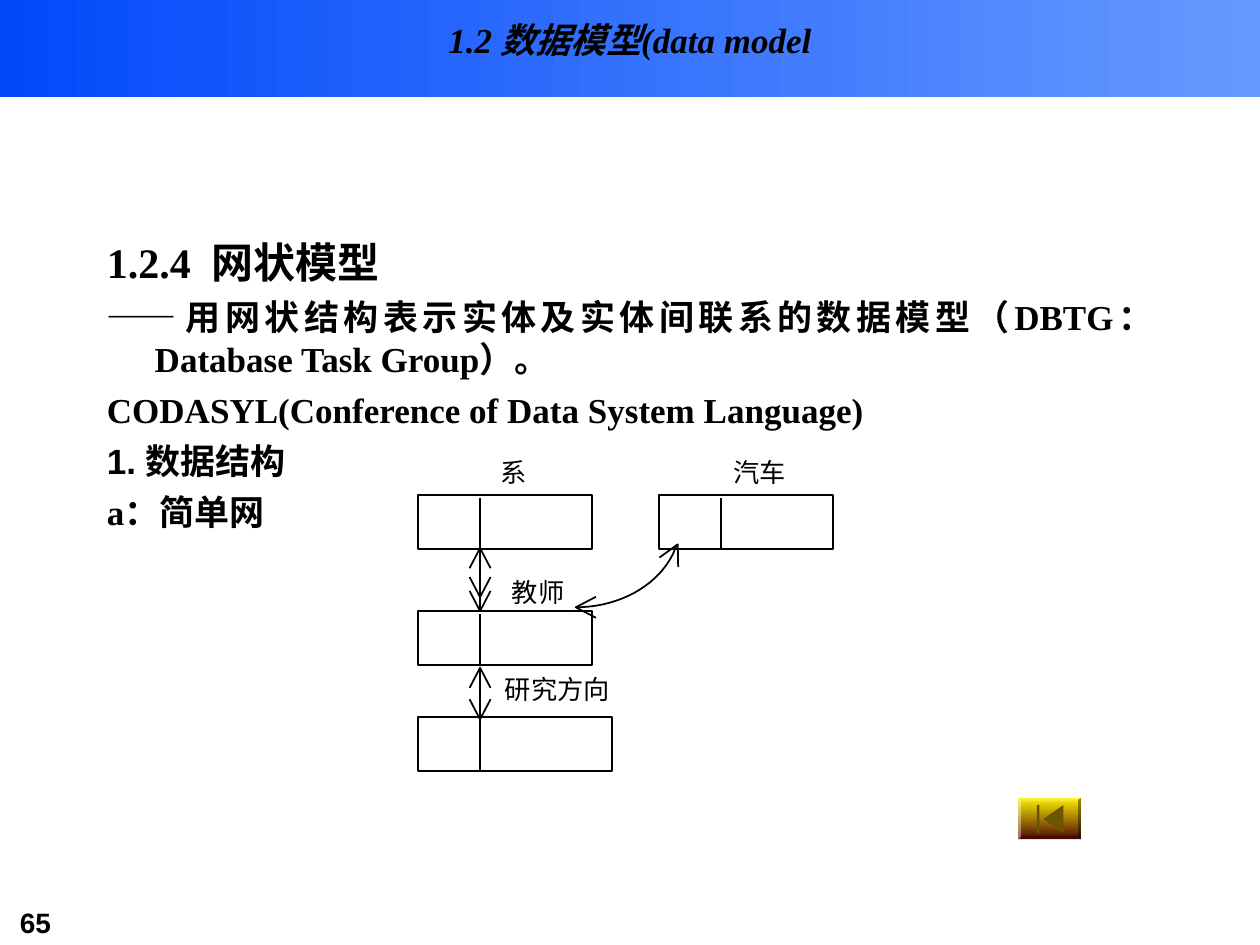
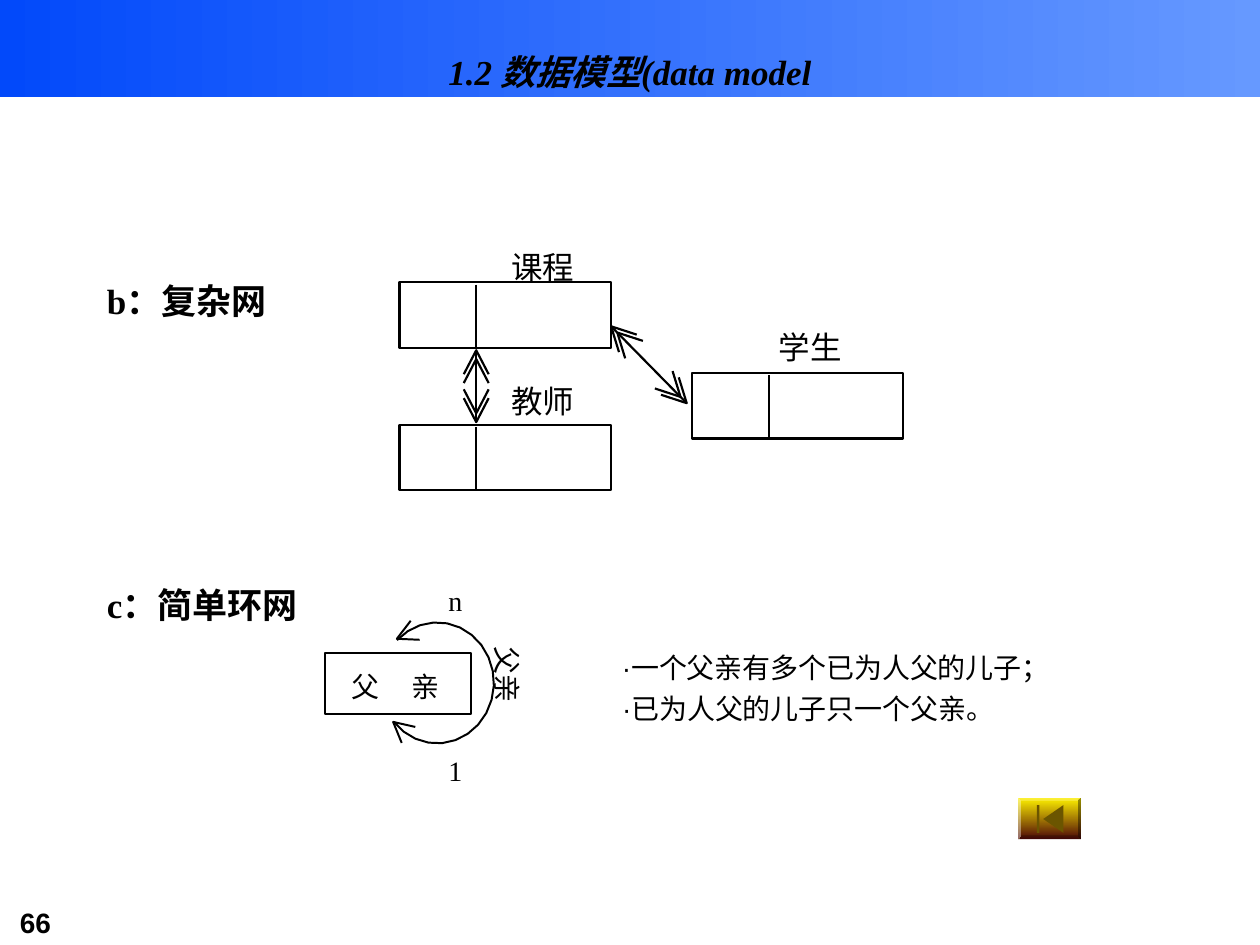
from math import cos, hypot, radians, sin

from pptx import Presentation
from pptx import util as u
from pptx.dml.color import RGBColor
from pptx.enum import shapes, text
from pptx.oxml.ns import qn
from lxml import etree

COLS, ROWS = 10, 7.5
CELL = u.Inches(1)
INK, PAPER, SHADE = "000000", "FFFFFF", "6B5500"
BAND = ("0249FA", "6699FF")
GOLD = ("FFF200", "4D0808")
SERIF, SANS, HAN = "Times New Roman", "Arial", "Noto Sans CJK SC"
TITLE = "1.2 数据模型(data model"
KIND = shapes.MSO_SHAPE
ALIGN = text.PP_ALIGN


def grid(*cells):
    """Turn grid columns and rows into lengths."""
    return [int(c * CELL) for c in cells]


def tint(code):
    """Turn a hex string into a colour."""
    return RGBColor.from_string(code)


def add(slide, kind, x, y, w, h):
    """Add a preset shape without a shadow."""
    shape = slide.shapes.add_shape(kind, *grid(x, y, w, h))
    shape.shadow.inherit = False
    return shape


def flat(shape, code):
    """Fill a shape with one colour."""
    shape.fill.solid()
    shape.fill.fore_color.rgb = tint(code)


def blend(shape, pair, angle):
    """Fill a shape with a two-colour gradient and no outline."""
    shape.line.fill.background()
    shape.fill.gradient()
    shape.fill.gradient_angle = angle
    for stop, code in zip(shape.fill.gradient_stops, pair):
        stop.color.rgb = tint(code)


def stroke(line, width):
    """Give a line the ink colour and a width in points."""
    line.color.rgb = tint(INK)
    line.width = u.Pt(width)


def write(para, words, size, font, bold=False, slant=False):
    """Add one run to a paragraph."""
    run = para.add_run()
    run.text = words
    face = run.font
    face.size, face.bold, face.italic = u.Pt(size), bold, slant
    face.name = font
    face.color.rgb = tint(INK)
    east = etree.SubElement(run._r.get_or_add_rPr(), qn("a:ea"))
    east.set("typeface", HAN)


def frame(slide, x, y, w, h, wrap=True):
    """Add a text box and return it with its text frame."""
    box = slide.shapes.add_textbox(*grid(x, y, w, h))
    box.text_frame.word_wrap = wrap
    return box, box.text_frame


def label(slide, x, y, w, runs, size, turn=0):
    """Add a centred one-line label, with slack on both sides."""
    slack = 0.1
    box, body = frame(slide, x - slack, y, w + 2 * slack, size / 60, False)
    body.margin_left = body.margin_right = 0
    body.margin_top = body.margin_bottom = 0
    body.paragraphs[0].alignment = ALIGN.CENTER
    box.rotation = turn
    for words, font in runs:
        write(body.paragraphs[0], words, size, font)


def prose(slide, y, h, lines):
    """Add bold justified paragraphs with a hanging indent."""
    body = frame(slide, 0.75, y, 8.5, h)[1]
    for n, (words, size, font) in enumerate(lines):
        para = body.add_paragraph() if n else body.paragraphs[0]
        para.alignment = ALIGN.JUSTIFY
        para.space_before = u.Pt(size / 4)
        hang, = grid(0.38)
        props = para._p.get_or_add_pPr()
        props.set("marL", str(hang))
        props.set("indent", str(-hang))
        write(para, words, size, font, True)


def block(slide, x, y, w, h, width):
    """Add an outlined white rectangle."""
    shape = add(slide, KIND.RECTANGLE, x, y, w, h)
    flat(shape, PAPER)
    stroke(shape.line, width)


def rule(slide, start, end, width):
    """Add a straight line."""
    line = slide.shapes.add_connector(
        shapes.MSO_CONNECTOR.STRAIGHT, *grid(*start, *end))
    stroke(line.line, width)
    etree.SubElement(line._element.spPr, qn("a:effectLst"))


def record(slide, x, y, w, h, key, width):
    """Add a record box whose key field is split off by a rule."""
    block(slide, x, y, w, h, width)
    rule(slide, (x + key, y + 0.02), (x + key, y + h), width)


def trace(slide, points, width):
    """Add an open outline through the points."""
    spots = [grid(*p) for p in points]
    pen = slide.shapes.build_freeform(*spots[0])
    pen.add_line_segments(spots[1:], close=False)
    shape = pen.convert_to_shape()
    shape.shadow.inherit = False
    shape.fill.background()
    stroke(shape.line, width)


def head(slide, tip, back, width, size=0.16):
    """Add an open arrowhead at tip, with its barbs towards back."""
    dx, dy = back[0] - tip[0], back[1] - tip[1]
    span = hypot(dx, dy)
    dx, dy = dx / span * size, dy / span * size
    barbs = [(tip[0] + dx - s * dy, tip[1] + dy + s * dx)
             for s in (-0.52, 0.52)]
    trace(slide, [barbs[0], tip, barbs[1]], width)


def link(slide, a, b, near, far, width, size):
    """Join two points, with arrowheads set in from each end."""
    rule(slide, a, b, width)
    for tip, back, steps in ((a, b, near), (b, a, far)):
        span = hypot(back[0] - tip[0], back[1] - tip[1])
        for step in steps:
            spot = [t + (k - t) * step / span for t, k in zip(tip, back)]
            head(slide, spot, back, width, size)


def arc(slide, mid, radii, first, last, width):
    """Trace part of an ellipse between two angles in degrees."""
    turns = [radians(first + (last - first) * n / 20) for n in range(21)]
    trace(slide, [(mid[0] + radii[0] * cos(t), mid[1] + radii[1] * sin(t))
                  for t in turns], width)


def button(slide):
    """Add the bevelled return button with its bar and triangle."""
    base = add(slide, KIND.BEVEL, 8.08, 6.33, 0.5, 0.33)
    base.adjustments[0] = 0.08
    blend(base, GOLD, 270)
    bar = add(slide, KIND.RECTANGLE, 8.23, 6.39, 0.02, 0.22)
    wedge = add(slide, KIND.ISOSCELES_TRIANGLE, 8.25, 6.42, 0.22, 0.16)
    wedge.rotation = 270
    for mark in (bar, wedge):
        flat(mark, SHADE)
        mark.line.fill.background()


def page(deck, number, top):
    """Add a slide with its band, title, number and return button."""
    slide = deck.slides.add_slide(deck.slide_layouts[6])
    blend(add(slide, KIND.RECTANGLE, 0, 0, COLS, 0.77), BAND, 0)
    foot = frame(slide, 0.06, 7.14, 1.22, 0.37)[1]
    write(foot.paragraphs[0], str(number), 16, SANS, True)
    body = frame(slide, 0.75, top, 8.5, 0.63)[1]
    body.vertical_anchor = text.MSO_ANCHOR.MIDDLE
    body.paragraphs[0].alignment = ALIGN.CENTER
    write(body.paragraphs[0], TITLE, 20, SERIF, True, True)
    button(slide)
    return slide


def simple(deck):
    """Build the slide on the simple network."""
    slide = page(deck, 65, 0)
    prose(slide, 1.83, 4.83, [
        ("1.2.4  网状模型", 24, SERIF),
        ("——用网状结构表示实体及实体间联系的数据模型"
         "（DBTG：Database Task Group）。", 20, SERIF),
        ("CODASYL(Conference of Data System Language)", 20, SERIF),
        ("1. 数据结构", 20, SANS),
        ("a：简单网", 20, SERIF)])
    for x, y, w in ((3.32, 3.93, 1.38), (5.23, 3.93, 1.38),
                    (3.32, 4.85, 1.38), (3.32, 5.69, 1.54)):
        record(slide, x, y, w, 0.43, 0.49, 1)
    link(slide, (3.81, 4.35), (3.81, 4.85), [0], [0, 0.11], 1, 0.16)
    link(slide, (3.81, 5.3), (3.81, 5.71), [0], [0], 1, 0.16)
    arc(slide, (4.57, 4.15), (0.83, 0.67), 90, 15, 1)
    head(slide, (4.57, 4.82), (4.74, 4.82), 1)
    head(slide, (5.38, 4.32), (5.31, 4.46), 1)
    for x, y, w, words in ((3.97, 3.62, 0.21, "系"), (5.82, 3.62, 0.42, "汽车"),
                           (4.06, 4.57, 0.42, "教师"),
                           (4.01, 5.34, 0.83, "研究方向")):
        label(slide, x, y, w, [(words, HAN)], 15)


def dense(deck):
    """Build the slide on the complex and ring networks."""
    slide = page(deck, 66, 0.25)
    for y, words in ((2.17, "b：复杂网"), (4.58, "c：简单环网")):
        prose(slide, y, 0.45, [(words, 20, SERIF)])
    for x, y, words, left, top in ((3.17, 2.24, "课程", 4.06, 1.97),
                                   (5.49, 2.96, "学生", 6.18, 2.6),
                                   (3.17, 3.37, "教师", 4.06, 3.03)):
        record(slide, x, y, 1.68, 0.52, 0.61, 1.25)
        label(slide, left, top, 0.5, [(words, HAN)], 18)
    for a, b in (((3.78, 2.78), (3.78, 3.35)), ((4.85, 2.59), (5.45, 3.2))):
        link(slide, a, b, [0, 0.07], [0, 0.07], 1.25, 0.19)
    block(slide, 2.58, 5.18, 1.16, 0.49, 1.13)
    arc(slide, (3.47, 5.42), (0.45, 0.48), -135, 140, 1.13)
    head(slide, (3.15, 5.07), (3.3, 5), 1.13)
    head(slide, (3.12, 5.73), (3.25, 5.84), 1.13)
    for x, y, w, words, font, turn in (
            (3.56, 4.63, 0.11, "n", SERIF, 0), (3.56, 5.98, 0.11, "1", SERIF, 0),
            (2.79, 5.31, 0.22, "父", HAN, 0), (3.27, 5.31, 0.22, "亲", HAN, 0),
            (3.81, 5.22, 0.44, "父亲", HAN, 90)):
        label(slide, x, y, w, [(words, font)], 16, turn)
    for y, w, words in ((5.16, 3.45, "一个父亲有多个已为人父的儿子；"),
                        (5.49, 3.01, "已为人父的儿子只一个父亲。")):
        label(slide, 4.91, y, w, [("·", SANS), (words, HAN)], 16)


def main():
    """Build and save the deck."""
    deck = Presentation()
    deck.slide_width, deck.slide_height = grid(COLS, ROWS)
    simple(deck)
    dense(deck)
    deck.save("out.pptx")


if __name__ == "__main__":
    main()
